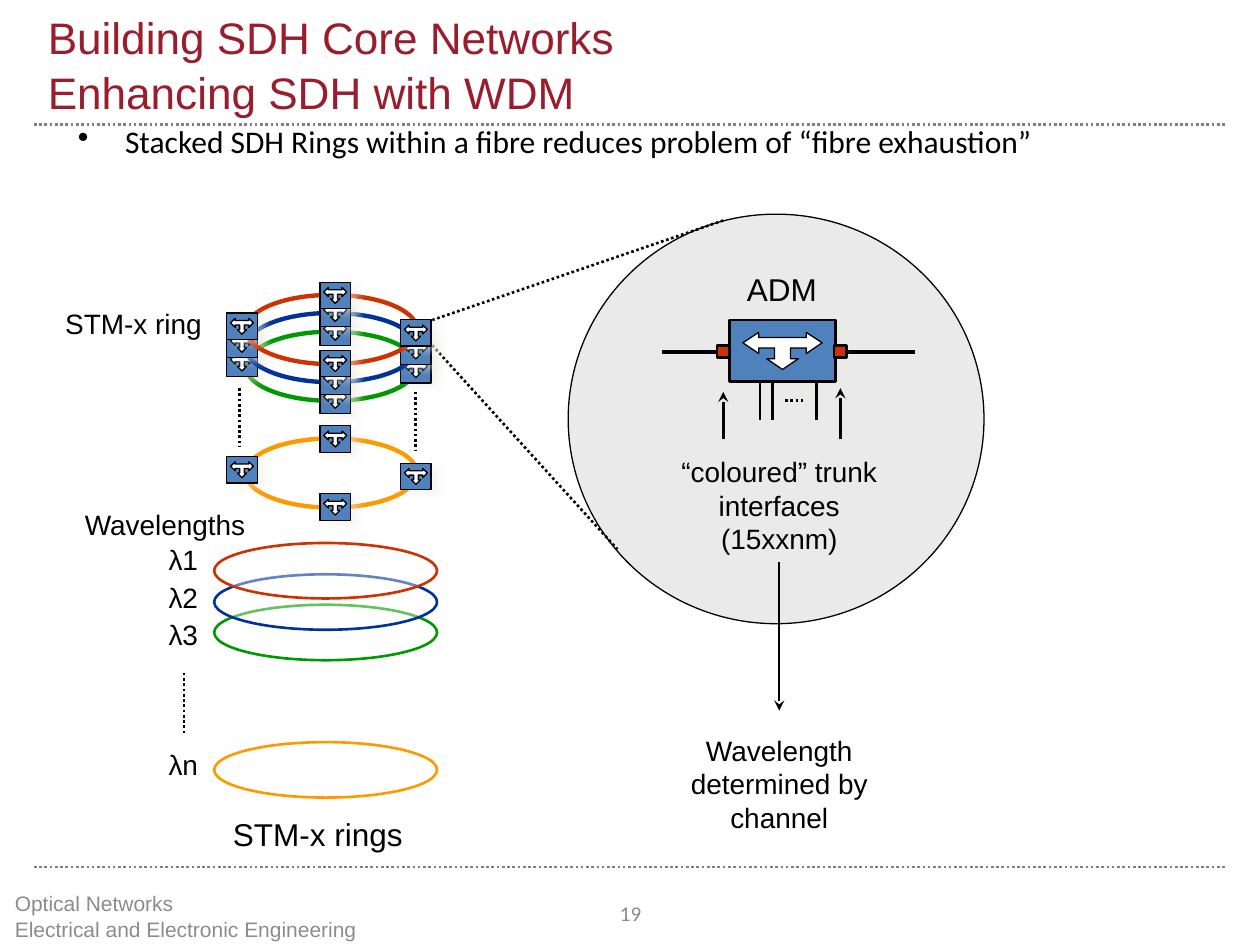
import dataclasses

import pptx
import pptx.dml.color
import pptx.enum.dml
import pptx.enum.shapes
import pptx.enum.text
import pptx.oxml.ns
import pptx.util
from lxml import etree

Pt = pptx.util.Pt
Shape = pptx.enum.shapes.MSO_SHAPE
Align = pptx.enum.text.PP_ALIGN
Anchor = pptx.enum.text.MSO_ANCHOR
qn = pptx.oxml.ns.qn


@dataclasses.dataclass(frozen=True)
class Theme:
    """Colours, fonts and type sizes of the slide."""
    ink: str = "000000"
    white: str = "FFFFFF"
    title: str = "9A1D2B"
    rule: str = "808080"
    foot: str = "8C8C8C"
    page: str = "898989"
    disc: str = "EAEAEA"
    node: str = "4F81BD"
    shade: str = "EEECE1"
    red: str = "CC3300"
    blue: str = "003399"
    green: str = "009900"
    gold: str = "FF9900"
    sans: str = "Arial"
    body: str = "Calibri"
    head: float = 25.2
    large: int = 18
    label: int = 16
    small: int = 12


T = Theme()
ARROW = ((.5, 1), (.3, .71), (.4, .71), (.4, .42), (.2, .42), (.2, .57),
         (0, .28), (.2, 0), (.2, .14), (.8, .14), (.8, 0), (1, .28),
         (.8, .57), (.8, .42), (.6, .42), (.6, .71), (.7, .71))


def rgb(code):
    """Return the colour for a hex code."""
    return pptx.dml.color.RGBColor.from_string(code)


def child(parent, tag, **attrs):
    """Append a DrawingML element to a parent."""
    return etree.SubElement(parent, qn(tag), attrs)


def paint(shape, fill, line, width):
    """Give a shape its fill and outline, without a shadow."""
    shape.shadow.inherit = False
    if fill:
        shape.fill.solid()
        shape.fill.fore_color.rgb = rgb(fill)
    else:
        shape.fill.background()
    shape.line.color.rgb = rgb(line)
    shape.line.width = Pt(width)
    return shape


def draw(slide, kind, box, fill, line, width):
    """Add a painted preset shape."""
    shape = slide.shapes.add_shape(kind, *map(Pt, box))
    return paint(shape, fill, line, width)


def write(slide, box, words, size=T.label, color=T.ink, font=T.sans,
          align=Align.CENTER, anchor=Anchor.TOP):
    """Add a wrapped text box and return it."""
    area = slide.shapes.add_textbox(*map(Pt, box))
    frame = area.text_frame
    frame.word_wrap = True
    frame.vertical_anchor = anchor
    frame.text = words
    para = frame.paragraphs[0]
    para.alignment = align
    para.font.size = Pt(size)
    para.font.name = font
    para.font.color.rgb = rgb(color)
    return area


def link(slide, x1, y1, x2, y2, width=1.5, color=T.ink, dots=False, tip=False):
    """Add a straight line, dotted or with an arrowhead on request."""
    line = slide.shapes.add_connector(
        pptx.enum.shapes.MSO_CONNECTOR.STRAIGHT, *map(Pt, (x1, y1, x2, y2)))
    line.line.color.rgb = rgb(color)
    line.line.width = Pt(width)
    if dots:
        line.line.dash_style = pptx.enum.dml.MSO_LINE.ROUND_DOT
    if tip:
        child(line.line._get_or_add_ln(), "a:tailEnd", type="stealth")
    child(line._element.spPr, "a:effectLst")
    return line


def node(slide, x, y, w, h, width):
    """Draw a multiplexer block with its three-way arrow."""
    block = draw(slide, Shape.RECTANGLE, (x, y, w, h), T.node, T.ink, width)
    glow = child(block._element.spPr.find(qn("a:effectLst")), "a:outerShdw",
                 blurRad=str(Pt(5)), dist=str(Pt(4.5)), dir=str(28 * 60000),
                 algn="ctr", rotWithShape="0")
    tone = child(glow, "a:srgbClr", val=T.shade)
    child(tone, "a:alpha", val="50000")
    spots = [(Pt(x + w * (.125 + .75 * u)), Pt(y + h * (.2 + .6 * v)))
             for u, v in ARROW]
    form = slide.shapes.build_freeform(*spots[0])
    form.add_line_segments(spots[1:])
    paint(form.convert_to_shape(), T.white, T.ink, .75)


def ring(slide, x, y, w, h, color):
    """Draw a ring with four multiplexers on it."""
    draw(slide, Shape.OVAL, (x, y, w, h), None, color, 2.5)
    for dx, dy in ((42.5, 31.7), (-10.8, 10.4), (42.5, -7.2), (88.6, 14.2)):
        node(slide, x + dx, y + dy, 17.4, 15.1, .75)


def wave(slide, x, y, w, h, color, name, drop):
    """Draw a translucent wavelength loop and its label."""
    loop = draw(slide, Shape.OVAL, (x, y, w, h), T.white, color, 1.5)
    tone = loop._element.spPr.find(qn("a:solidFill"))[0]
    child(tone, "a:alpha", val="40000")
    write(slide, (x - 42.5, y + drop, 49.7, 26.6), name)


def stack(slide, x, y, w, h):
    """Draw the stacked rings and their wavelengths."""
    rows = ((T.green, 21, "λ3", 177.1, 3.6), (T.blue, 10.3, "λ2", 159.7, 0),
            (T.red, 0, "λ1", 141.8, -3.6), (T.gold, 82, "λn", 255.6, -.7))
    for color, top, name, low, drop in rows:
        ring(slide, x + 18, y + top, 98, 39.6, color)
        wave(slide, x, y + low, w, 31.7, color, name, drop)
    for dx, top, end in ((-17.3, 216, 251.3), (14.4, 53.3, 86.4),
                         (115.2, 55.4, 88.6)):
        link(slide, x + dx, y + top, x + dx, y + end, dots=True)
    write(slide, (x - 99.4, y + 2.9, 106.6, 26.6), "STM-x ring",
          anchor=Anchor.MIDDLE)
    write(slide, (x - 85, y + 118, 113.8, 26.6), "Wavelengths")
    write(slide, (x + 3.6, y + h - 28.8, 123.8, 28.8), "STM-x rings", T.large,
          align=Align.LEFT)


def detail(slide, x, y, w, h):
    """Draw the magnified multiplexer and its notes."""
    draw(slide, Shape.OVAL, (x, y, w, h), T.disc, T.ink, .75)
    link(slide, x + 53.3, y + 78.5, x + 198, y + 78.5, 2.25)
    node(slide, x + 92.2, y + 60.5, 60.5, 35.3, 1.5)
    for dx in (85, 152):
        draw(slide, Shape.RECTANGLE, (x + dx, y + 74.9, 7.2, 7.2),
             T.red, T.ink, 1.5)
    write(slide, (x + 85, y + 28.1, 74.2, 28.8), "ADM", T.large)
    note = write(slide, (x + 53.3, y + 133.9, 134.6, 64.8),
                 "“coloured” trunk interfaces (15xxnm)")
    for dx, top in ((88.6, 101.5), (155.5, 99.4)):
        link(slide, x + dx, y + 128.2, x + dx, y + top, tip=True)
    for dx in (109.5, 116.7, 141.9):
        link(slide, x + dx, y + 95.8, x + dx, y + 117.4)
    link(slide, x + 123.9, y + 106.6, x + 134.7, y + 106.6, dots=True)
    down = link(slide, x + 120.6, y + 198.7, x + 120.6, y + 283.7, 1.25,
                tip=True)
    down.begin_connect(note, 2)
    write(slide, (x + 46.1, y + 293, 149, 64.8),
          "Wavelength determined by channel")
    for start, dx, dy in ((60.5, 88.6, 3.6), (74.9, 28.1, 191.5)):
        link(slide, x - 77.7, y + start, x + dx, y + dy, dots=True)


def header(slide, x, y, w, h):
    """Write the title, its rule and the bullet."""
    link(slide, x, y + h, x + w, y + h, color=T.rule, dots=True)
    title = write(slide, (x + .8, y, w, h),
                  "Building SDH Core Networks\vEnhancing SDH with WDM",
                  T.head, T.title, align=Align.LEFT, anchor=Anchor.BOTTOM)
    title.text_frame.paragraphs[0].line_spacing = 1.05
    area = write(slide, (x + 18, y + h - 5, 648, 81.4),
                 "Stacked SDH Rings within a fibre reduces problem of "
                 "“fibre exhaustion”", T.large, font=T.body, align=Align.LEFT)
    props = area.text_frame.paragraphs[0]._p.get_or_add_pPr()
    props.set("marL", str(Pt(27)))
    props.set("indent", str(Pt(-27)))
    mark = etree.Element(qn("a:buChar"), {"char": "•"})
    props.insert_element_before(mark, "a:tabLst", "a:defRPr", "a:extLst")


def footer(slide, x, y, w, h):
    """Write the rule, course name and page number."""
    link(slide, x, y, x + w, y, color=T.rule, dots=True)
    write(slide, (x - 18, y + 13.7, 304.6, h),
          "Optical Networks\vElectrical and Electronic Engineering",
          T.small, T.foot, align=Align.LEFT, anchor=Anchor.MIDDLE)
    write(slide, (x + 312.5, y + 12.2, 56.9, h), "19", T.small, T.page, T.body,
          anchor=Anchor.MIDDLE)


def main():
    """Build and save the slide."""
    deck = pptx.Presentation()
    deck.slide_width, deck.slide_height = Pt(720), Pt(540)
    slide = deck.slides.add_slide(deck.slide_layouts[6])
    header(slide, 19.4, 0, 681.2, 71.3)
    footer(slide, 19.4, 495.4, 681.2, 28.8)
    detail(slide, 324.7, 122.4, 237.6, 234)
    stack(slide, 122.4, 168.5, 127.4, 322.5)
    deck.save("out.pptx")


if __name__ == "__main__":
    main()
